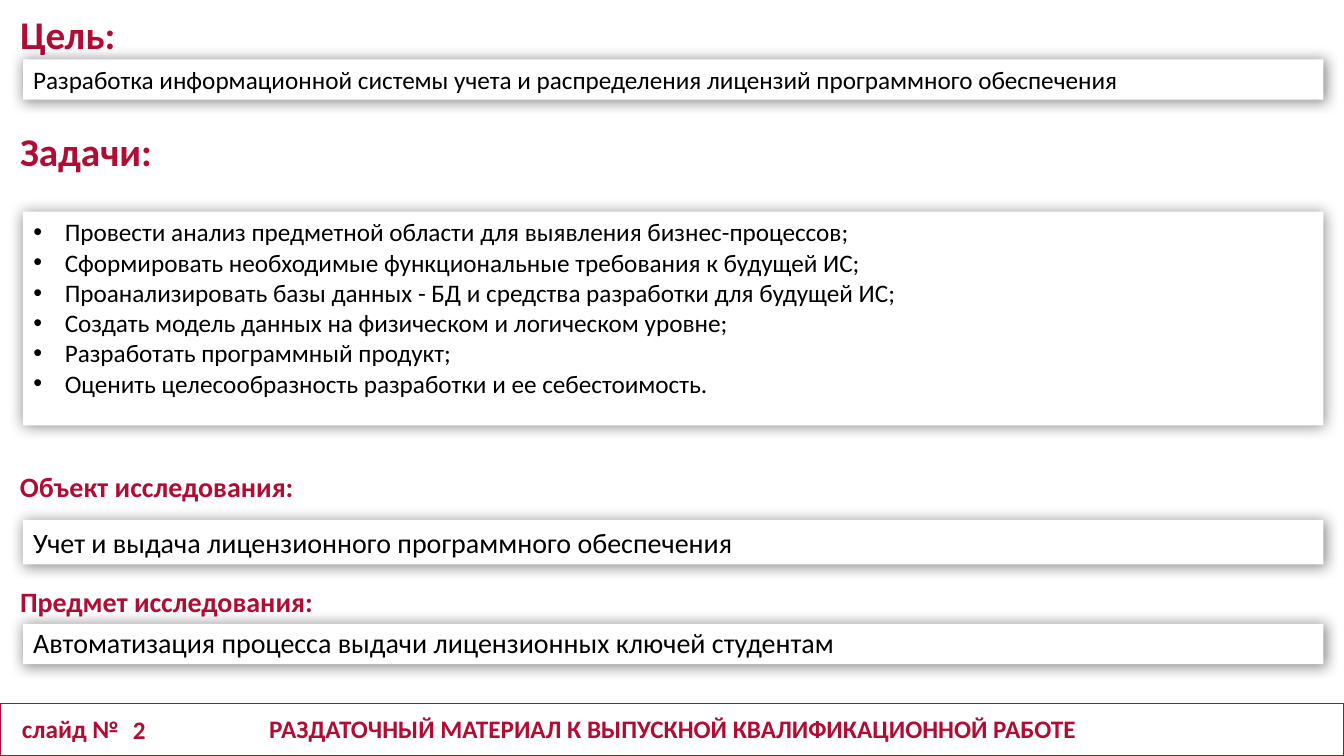
from lxml.etree import SubElement
from pptx import Presentation
from pptx.dml.color import RGBColor
from pptx.enum.shapes import MSO_SHAPE
from pptx.enum.text import MSO_ANCHOR, MSO_AUTO_SIZE, PP_ALIGN
from pptx.oxml.ns import qn
from pptx.util import Pt

WIDTH, HEIGHT = 960, 540
CRIMSON, BLACK, WHITE = "B10C34", "000000", "FFFFFF"
LABEL_X, BOX_X, BOX_W = 7.2, 16.56, 928.8

TASKS = [
    "Провести анализ предметной области для выявления бизнес-процессов;",
    "Сформировать необходимые функциональные требования к будущей ИС;",
    "Проанализировать базы данных - БД и средства разработки для будущей ИС;",
    "Создать модель данных на физическом и логическом уровне;",
    "Разработать программный продукт;",
    "Оценить целесообразность разработки и ее себестоимость.",
]


def rgb(value):
    return RGBColor.from_string(value)


def write(p, text, size=18, color=BLACK, bold=False, align=PP_ALIGN.LEFT,
          spacing=1.0, bullet=False):
    """Fill one paragraph with formatted text."""
    pPr = p._p.get_or_add_pPr()
    if bullet:
        indent = Pt(22.5)
        pPr.set("marL", str(indent))
        pPr.set("indent", str(-indent))
        SubElement(pPr, qn("a:buFont")).set("typeface", "Arial")
        SubElement(pPr, qn("a:buChar")).set("char", "•")
    p.alignment = align
    p.line_spacing = spacing
    p.space_before = Pt(0)
    r = p.add_run()
    r.text = text
    r.font.name = "Calibri"
    r.font.size = Pt(size)
    r.font.bold = bold
    r.font.color.rgb = rgb(color)


class SlideBuilder:
    def __init__(self, slide):
        self.s = slide

    def place(self, sp, x, y, w, h):
        sp.left, sp.top, sp.width, sp.height = Pt(x), Pt(y), Pt(w), Pt(h)

    def fill_text(self, sp, lines, wrap=True, **fmt):
        tf = sp.text_frame
        tf.word_wrap = wrap
        tf.auto_size = MSO_AUTO_SIZE.NONE
        tf.vertical_anchor = MSO_ANCHOR.TOP
        for i, line in enumerate(lines):
            p = tf.add_paragraph() if i else tf.paragraphs[0]
            write(p, line, **fmt)

    def rect(self, x, y, w, h):
        sp = self.s.shapes.add_shape(MSO_SHAPE.RECTANGLE, Pt(x), Pt(y), Pt(w), Pt(h))
        sp.shadow.inherit = False
        return sp

    def footer_frame(self, y, h):
        sp = self.rect(0, y, WIDTH, h)
        sp.fill.background()
        sp.line.color.rgb = rgb(CRIMSON)
        sp.line.width = Pt(1)

    def label(self, text, x, y, w, h, sp=None, **fmt):
        sp = sp or self.s.shapes.add_textbox(0, 0, 0, 0)
        self.place(sp, x, y, w, h)
        self.fill_text(sp, [text], wrap=False, color=CRIMSON, bold=True, **fmt)
        return sp

    def card(self, lines, y, h, sp=None, **fmt):
        """White panel with a soft grey glow on every side."""
        sp = sp or self.rect(BOX_X, y, BOX_W, h)
        self.place(sp, BOX_X, y, BOX_W, h)
        sp.fill.solid()
        sp.fill.fore_color.rgb = rgb(WHITE)
        sp.line.fill.background()
        effects = sp._element.spPr.find(qn("a:effectLst"))
        if effects is None:
            effects = SubElement(sp._element.spPr, qn("a:effectLst"))
        shadow = SubElement(effects, qn("a:outerShdw"), blurRad=str(Pt(10)),
                            dist="0", dir="0", algn="ctr", rotWithShape="0")
        black = SubElement(shadow, qn("a:srgbClr"), val=BLACK)
        SubElement(black, qn("a:alpha"), val="45000")
        self.fill_text(sp, lines, **fmt)


def main():
    prs = Presentation()
    prs.slide_width, prs.slide_height = Pt(WIDTH), Pt(HEIGHT)
    s = prs.slides.add_slide(prs.slide_layouts[1])
    title, body = s.placeholders[0], s.placeholders[1]
    b = SlideBuilder(s)

    # Footer
    b.footer_frame(502.56, 37.44)
    b.label("слайд №", 8.64, 506.16, 88.56, 29)
    b.label("РАЗДАТОЧНЫЙ МАТЕРИАЛ К ВЫПУСКНОЙ КВАЛИФИКАЦИОННОЙ РАБОТЕ",
            177.12, 506.16, 606.96, 29, align=PP_ALIGN.CENTER)
    b.label("2", 87.84, 506.88, 36, 29)

    # Headings
    b.label("Цель:", LABEL_X, 3.6, 83.52, 41, sp=title, size=28)
    b.label("Задачи:", LABEL_X, 87.12, 115.92, 41, size=28)
    b.label("Объект исследования:", LABEL_X, 331.92, 213.12, 31.68, size=20)
    subject = b.label("Предмет исследования:", LABEL_X, 414, 224.64, 31.68, size=20)
    subject.fill.solid()
    subject.fill.fore_color.rgb = rgb(WHITE)

    # Panels
    b.card(["Разработка информационной системы учета и распределения "
            "лицензий программного обеспечения"], 42.48, 28.8)
    b.card(TASKS, 151.2, 152.64, sp=body, bullet=True)
    b.card(["Учет и выдача лицензионного программного обеспечения"],
           371.52, 31.68, size=20)
    b.card(["Автоматизация процесса выдачи лицензионных ключей студентам"],
           445.68, 28.8, size=20, spacing=0.9)

    prs.save("out.pptx")


if __name__ == "__main__":
    main()
